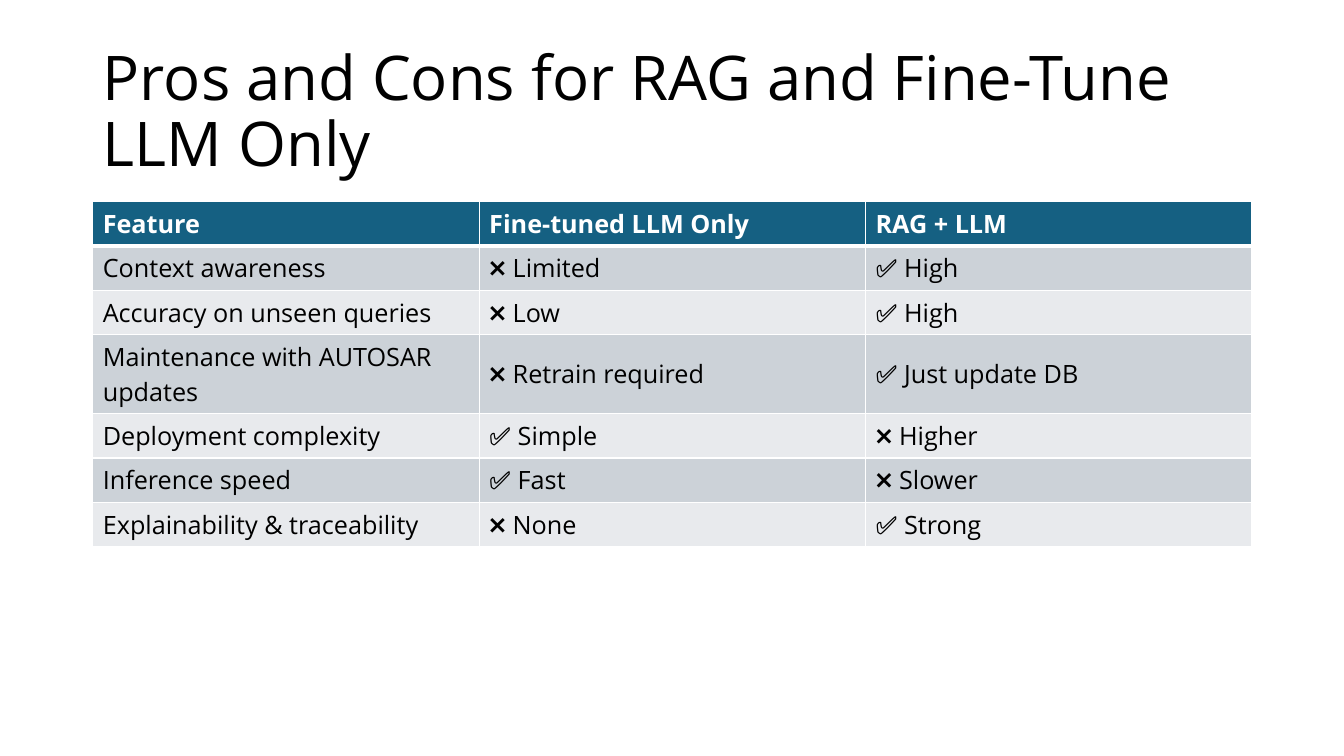
from dataclasses import dataclass

from lxml import etree
from pptx import Presentation
from pptx.dml.color import RGBColor
from pptx.enum.text import MSO_ANCHOR, MSO_AUTO_SIZE, PP_ALIGN
from pptx.oxml.ns import qn
from pptx.util import Inches, Pt

MIDDLE = MSO_ANCHOR.MIDDLE
LEFT = PP_ALIGN.LEFT
NO_AUTOFIT = MSO_AUTO_SIZE.NONE

WHITE = RGBColor(0xFF, 0xFF, 0xFF)
BLACK = RGBColor(0x00, 0x00, 0x00)
HEADER_BLUE = RGBColor(0x15, 0x60, 0x82)
BAND_DARK = RGBColor(0xCC, 0xD2, 0xD8)
BAND_LIGHT = RGBColor(0xE8, 0xEA, 0xED)

SLIDE_WIDTH = Inches(13.33)
SLIDE_HEIGHT = Inches(7.5)
TITLE_ONLY_LAYOUT = 5
FONT_NAME = "Open Sans"
THIN_BORDER = Pt(1)
THICK_BORDER = Pt(3)

TITLE = "Pros and Cons for RAG and Fine-Tune LLM Only"


@dataclass(frozen=True)
class Area:
    left: float
    top: float
    width: float
    height: float

    def lengths(self) -> dict[str, int]:
        return {
            "left": across(self.left),
            "top": down(self.top),
            "width": across(self.width),
            "height": down(self.height),
        }


@dataclass(frozen=True)
class FeatureRow:
    feature: str
    fine_tuned: str
    rag: str

    def texts(self) -> tuple[str, str, str]:
        return self.feature, self.fine_tuned, self.rag


@dataclass(frozen=True)
class RowStyle:
    fill: RGBColor
    color: RGBColor
    bold: bool
    top_border: int
    bottom_border: int


TITLE_AREA = Area(6.9, 5.33, 86.25, 19.33)
TABLE_AREA = Area(6.9, 26.67, 86.25, 38.29)

ROWS = [
    FeatureRow("Feature", "Fine-tuned LLM Only", "RAG + LLM"),
    FeatureRow("Context awareness", "❌ Limited", "✅ High"),
    FeatureRow("Accuracy on unseen queries", "❌ Low", "✅ High"),
    FeatureRow("Maintenance with AUTOSAR updates", "❌ Retrain required", "✅ Just update DB"),
    FeatureRow("Deployment complexity", "✅ Simple", "❌ Higher"),
    FeatureRow("Inference speed", "✅ Fast", "❌ Slower"),
    FeatureRow("Explainability & traceability", "❌ None", "✅ Strong"),
]


def across(percent: float) -> int:
    return round(SLIDE_WIDTH * percent / 100)


def down(percent: float) -> int:
    return round(SLIDE_HEIGHT * percent / 100)


def set_attributes(target, values: dict) -> None:
    for name, value in values.items():
        setattr(target, name, value)


def write_text(text_frame, text: str, size: int, color: RGBColor, bold: bool) -> None:
    paragraph = text_frame.paragraphs[0]
    paragraph.alignment = LEFT
    run = paragraph.add_run()
    run.text = text
    set_attributes(run.font, {"name": FONT_NAME, "size": Pt(size), "bold": bold})
    run.font.color.rgb = color


def style_for(row_index: int) -> RowStyle:
    if row_index == 0:
        return RowStyle(HEADER_BLUE, WHITE, True, THIN_BORDER, THICK_BORDER)
    fill = BAND_DARK if row_index % 2 else BAND_LIGHT
    top_border = THICK_BORDER if row_index == 1 else THIN_BORDER
    return RowStyle(fill, BLACK, False, top_border, THIN_BORDER)


def add_borders(cell, style: RowStyle) -> None:
    properties = cell._tc.get_or_add_tcPr()
    widths = {
        "a:lnL": THIN_BORDER,
        "a:lnR": THIN_BORDER,
        "a:lnT": style.top_border,
        "a:lnB": style.bottom_border,
    }
    for tag, width in widths.items():
        line = etree.SubElement(properties, qn(tag), w=str(width))
        fill = etree.SubElement(line, qn("a:solidFill"))
        etree.SubElement(fill, qn("a:srgbClr"), val=str(WHITE))


def format_title(slide) -> None:
    title = slide.shapes.title
    set_attributes(title, TITLE_AREA.lengths())
    set_attributes(
        title.text_frame,
        {"word_wrap": True, "auto_size": NO_AUTOFIT, "vertical_anchor": MIDDLE},
    )
    write_text(title.text_frame, TITLE, 44, BLACK, False)
    title.text_frame.paragraphs[0].line_spacing = 0.9


def add_comparison_table(slide) -> None:
    column_count = len(ROWS[0].texts())
    table = slide.shapes.add_table(len(ROWS), column_count, **TABLE_AREA.lengths()).table
    table.horz_banding = False
    for row_index, feature_row in enumerate(ROWS):
        style = style_for(row_index)
        for column_index, text in enumerate(feature_row.texts()):
            cell = table.cell(row_index, column_index)
            add_borders(cell, style)
            cell.fill.solid()
            cell.fill.fore_color.rgb = style.fill
            cell.vertical_anchor = MIDDLE
            write_text(cell.text_frame, text, 18, style.color, style.bold)


def main() -> None:
    presentation = Presentation()
    set_attributes(
        presentation, {"slide_width": SLIDE_WIDTH, "slide_height": SLIDE_HEIGHT}
    )
    slide = presentation.slides.add_slide(presentation.slide_layouts[TITLE_ONLY_LAYOUT])
    format_title(slide)
    add_comparison_table(slide)
    presentation.save("out.pptx")


if __name__ == "__main__":
    main()
